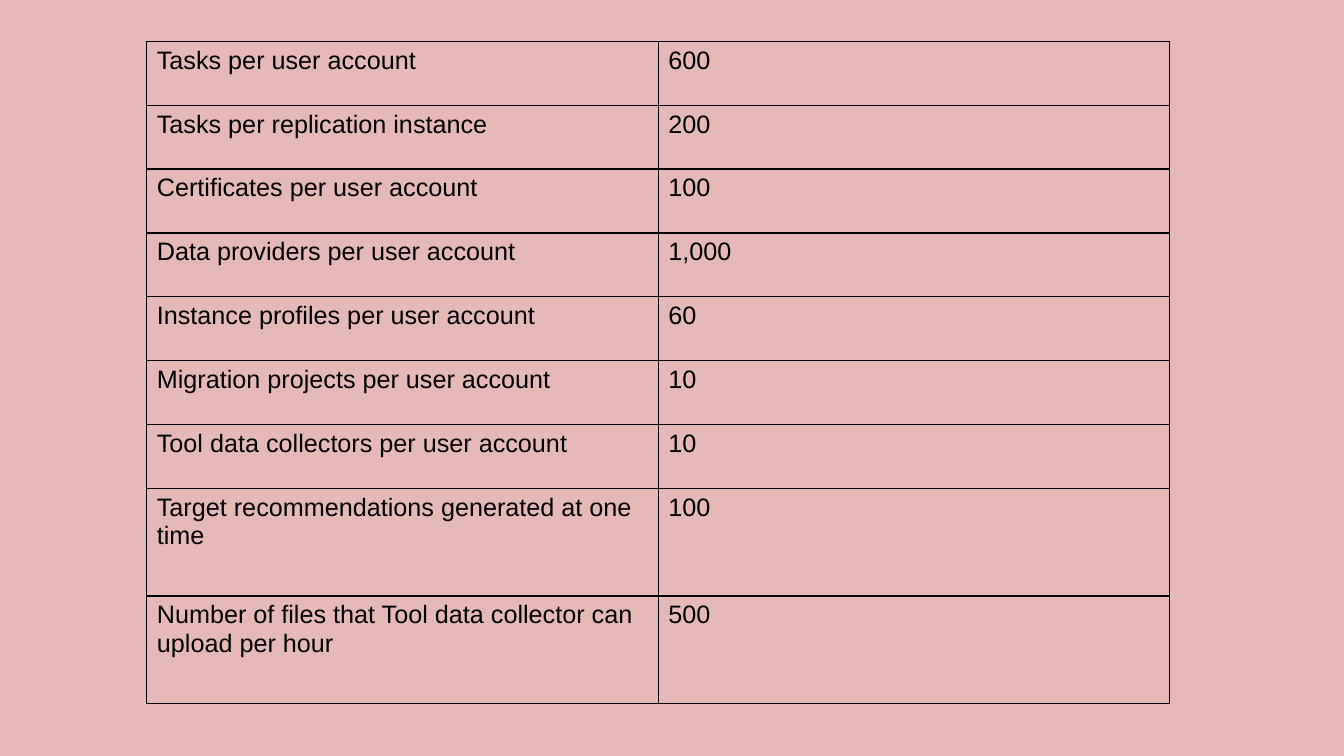
from lxml.etree import SubElement
from pptx import Presentation
from pptx.dml.color import RGBColor
from pptx.oxml.ns import qn
from pptx.util import Cm, Pt

QUOTAS = [
    ("Tasks per user account", "600"),
    ("Tasks per replication instance", "200"),
    ("Certificates per user account", "100"),
    ("Data providers per user account", "1,000"),
    ("Instance profiles per user account", "60"),
    ("Migration projects per user account", "10"),
    ("Tool data collectors per user account", "10"),
    ("Target recommendations generated at one time", "100"),
    ("Number of files that Tool data collector can upload per hour", "500"),
]
COLORS = {"background": "E6B9B8", "text": "000000", "border": "000000"}
FONT_NAME, FONT_SIZE = "Arial", Pt(18)
LEFT, TOP, COLUMN_WIDTH = Cm(3.7), Cm(1.04), Cm(12.89)
ONE_LINE_HEIGHT, TWO_LINE_HEIGHT = Cm(1.61), Cm(2.71)
LONGEST_SINGLE_LINE = 40  # characters that fit in the first column


def add_borders(cell):
    properties = cell._tc.get_or_add_tcPr()
    for side in ("a:lnL", "a:lnR", "a:lnT", "a:lnB"):
        line = SubElement(properties, qn(side), w=str(Pt(1)))
        fill = SubElement(line, qn("a:solidFill"))
        SubElement(fill, qn("a:srgbClr"), val=COLORS["border"])


def write_cell(cell, text):
    add_borders(cell)
    cell.fill.solid()
    cell.fill.fore_color.rgb = RGBColor.from_string(COLORS["background"])
    run = cell.text_frame.paragraphs[0].add_run()
    run.text = text
    run.font.name = FONT_NAME
    run.font.size = FONT_SIZE
    run.font.bold = False
    run.font.color.rgb = RGBColor.from_string(COLORS["text"])


def main():
    presentation = Presentation()
    presentation.slide_width, presentation.slide_height = Cm(33.87), Cm(19.05)
    slide = presentation.slides.add_slide(presentation.slide_layouts[6])
    slide.background.fill.solid()
    slide.background.fill.fore_color.rgb = RGBColor.from_string(COLORS["background"])

    heights = [
        TWO_LINE_HEIGHT if len(name) > LONGEST_SINGLE_LINE else ONE_LINE_HEIGHT
        for name, _ in QUOTAS
    ]
    table = slide.shapes.add_table(
        len(QUOTAS), 2, LEFT, TOP, 2 * COLUMN_WIDTH, sum(heights)
    ).table
    table.first_row = False
    table.horz_banding = False
    for column in table.columns:
        column.width = COLUMN_WIDTH
    for row, height, quota in zip(table.rows, heights, QUOTAS):
        row.height = height
        for cell, text in zip(row.cells, quota):
            write_cell(cell, text)

    presentation.save("out.pptx")


if __name__ == "__main__":
    main()
